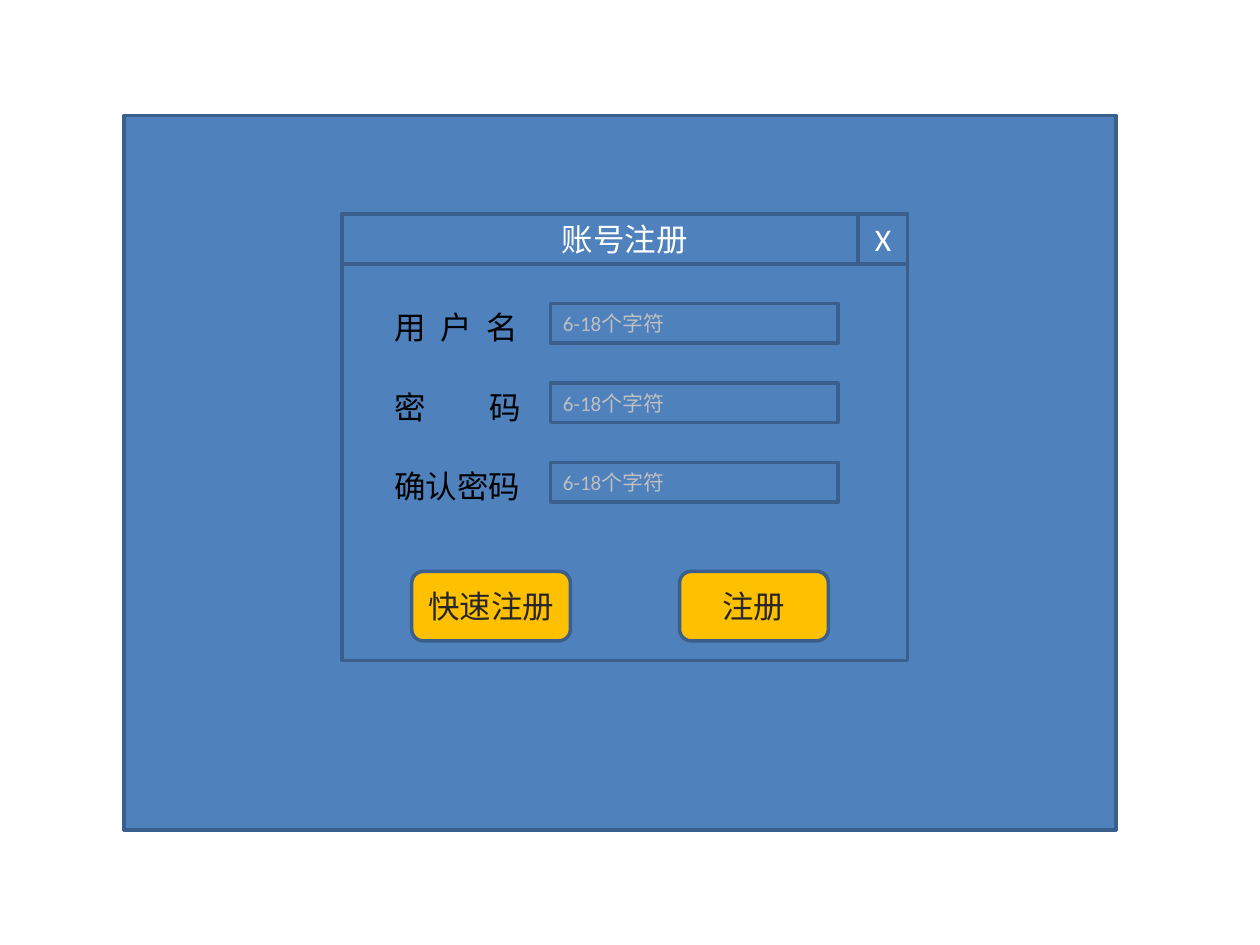
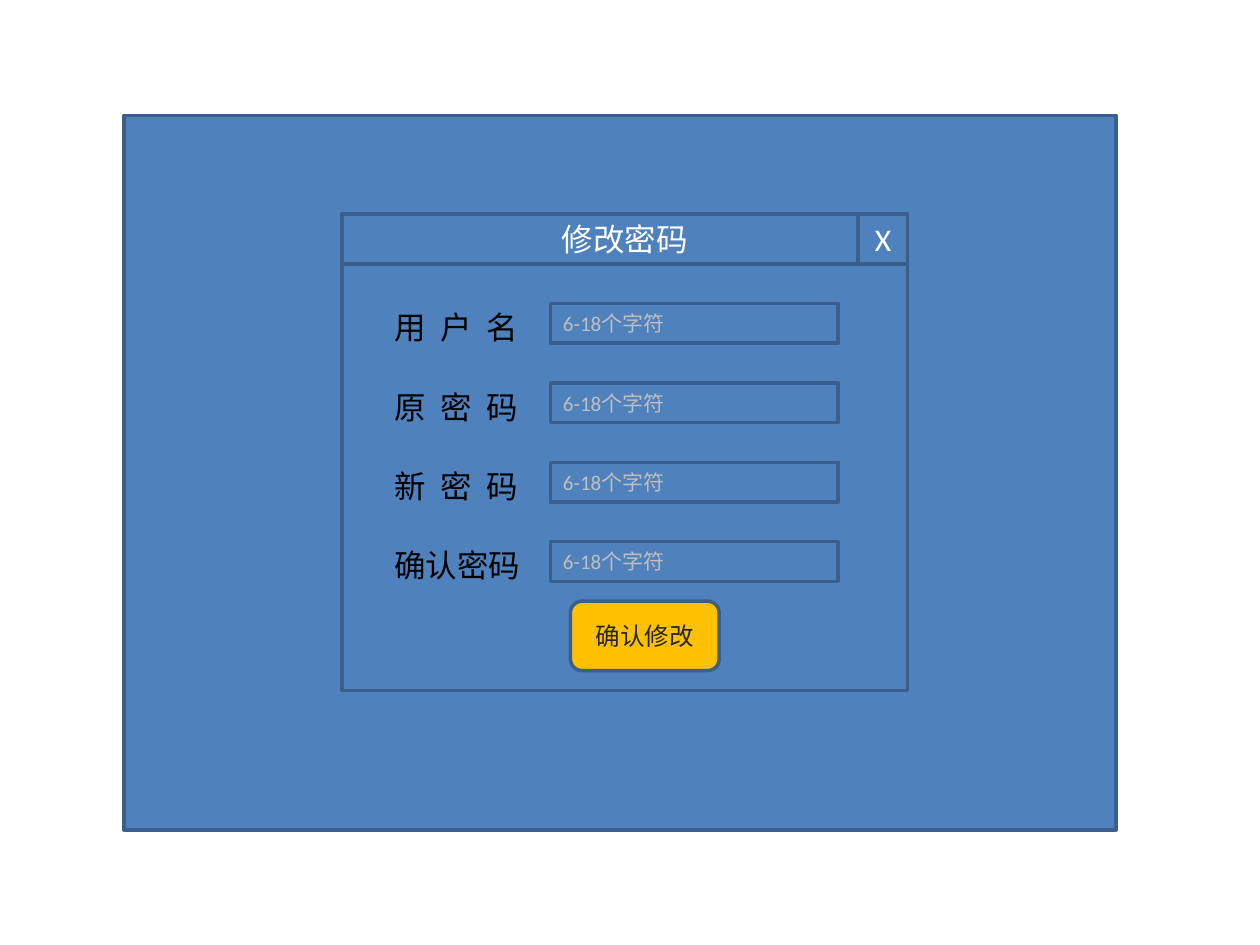
from pptx import Presentation
from pptx.dml.color import RGBColor
from pptx.enum import shapes, text
from pptx.oxml import parse_xml
from pptx.oxml import ns
from pptx.util import Cm, Pt

BLUE, EDGE, GOLD = "4F81BD", "3A5F8C", "FFC000"
WHITE, BLACK, DARK, GREY = "FFFFFF", "000000", "262626", "BFBFBF"
FONT = "Calibri"
RECT = shapes.MSO_SHAPE.RECTANGLE
ROUND = shapes.MSO_SHAPE.ROUNDED_RECTANGLE
LEFT, CENTER = text.PP_ALIGN.LEFT, text.PP_ALIGN.CENTER
HINT = "6-18个字符"
STOPS = {1: [1.92], 2: [0.93, 1.85]}


def paint(target, shade):
    target.rgb = RGBColor.from_string(shade)


def write(shape, words, size, shade, align=LEFT):
    para = shape.text_frame.paragraphs[0]
    para.alignment = align
    run = para.add_run()
    run.text = words
    run.font.name = FONT
    run.font.size = Pt(size)
    paint(run.font.color, shade)
    return para


def block(slide, box, fill=BLUE, kind=RECT):
    shape = slide.shapes.add_shape(kind, *map(Cm, box))
    shape.shadow.inherit = False
    shape.fill.solid()
    paint(shape.fill.fore_color, fill)
    paint(shape.line.color, EDGE)
    shape.line.width = Pt(2)
    shape.text_frame.vertical_anchor = text.MSO_ANCHOR.MIDDLE
    return shape


def label(slide, box, words):
    shape = slide.shapes.add_textbox(*map(Cm, box))
    shape.text_frame.word_wrap = True
    shape.text_frame.auto_size = text.MSO_AUTO_SIZE.SHAPE_TO_FIT_TEXT
    para = write(shape, words, 18, BLACK)
    stops = STOPS.get(words.count("\t"), [])
    if stops:
        tabs = "".join(f'<a:tab pos="{Cm(stop)}" algn="l"/>' for stop in stops)
        props = para._p.get_or_add_pPr()
        props.append(parse_xml(f'<a:tabLst {ns.nsdecls("a")}>{tabs}</a:tabLst>'))


def header(slide, box, title):
    left, top, width, height = box
    write(block(slide, box), title, 18, WHITE, CENTER)
    close = block(slide, (left + width - height, top, height, height))
    write(close, "X", 18, WHITE, CENTER)


def form(slide, box, names):
    left, top = box[:2]
    for row, name in enumerate(names):
        y = top + 1.8 + 1.6 * row
        label(slide, (left + 0.8, y - 0.03, 3.6, 1.02), name)
        field = block(slide, (left + 4.2, y, 5.8, 0.8))
        write(field, HINT, 12, GREY)


def footer(slide, box, buttons):
    left, top, width, height = box
    for words, x, wide, size in buttons:
        button = block(slide, (left + x, top + height - 1.8, wide, 1.4), GOLD, ROUND)
        write(button, words, size, DARK, CENTER)


def dialog(deck, height, title, names, buttons):
    slide = deck.slides.add_slide(deck.slide_layouts[6])
    box = left, top, width, height = 6.9, 4.32, 11.4, height
    block(slide, (2.5, 2.33, 20, 14.4))
    block(slide, box)
    header(slide, (left, top, width, 1), title)
    form(slide, box, names)
    footer(slide, box, buttons)


def main():
    deck = Presentation()
    deck.slide_width, deck.slide_height = Cm(25.4), Cm(19.05)
    dialog(deck, 9, "账号注册",
           ["用\t户\t名", "密\t码", "确认密码"],
           [("快速注册", 1.4, 3.2, 18), ("注册", 6.8, 3, 18)])
    dialog(deck, 9.6, "修改密码",
           ["用\t户\t名", "原\t密\t码", "新\t密\t码", "确认密码"],
           [("确认修改", 4.6, 3, 14)])
    deck.save("out.pptx")


if __name__ == "__main__":
    main()
